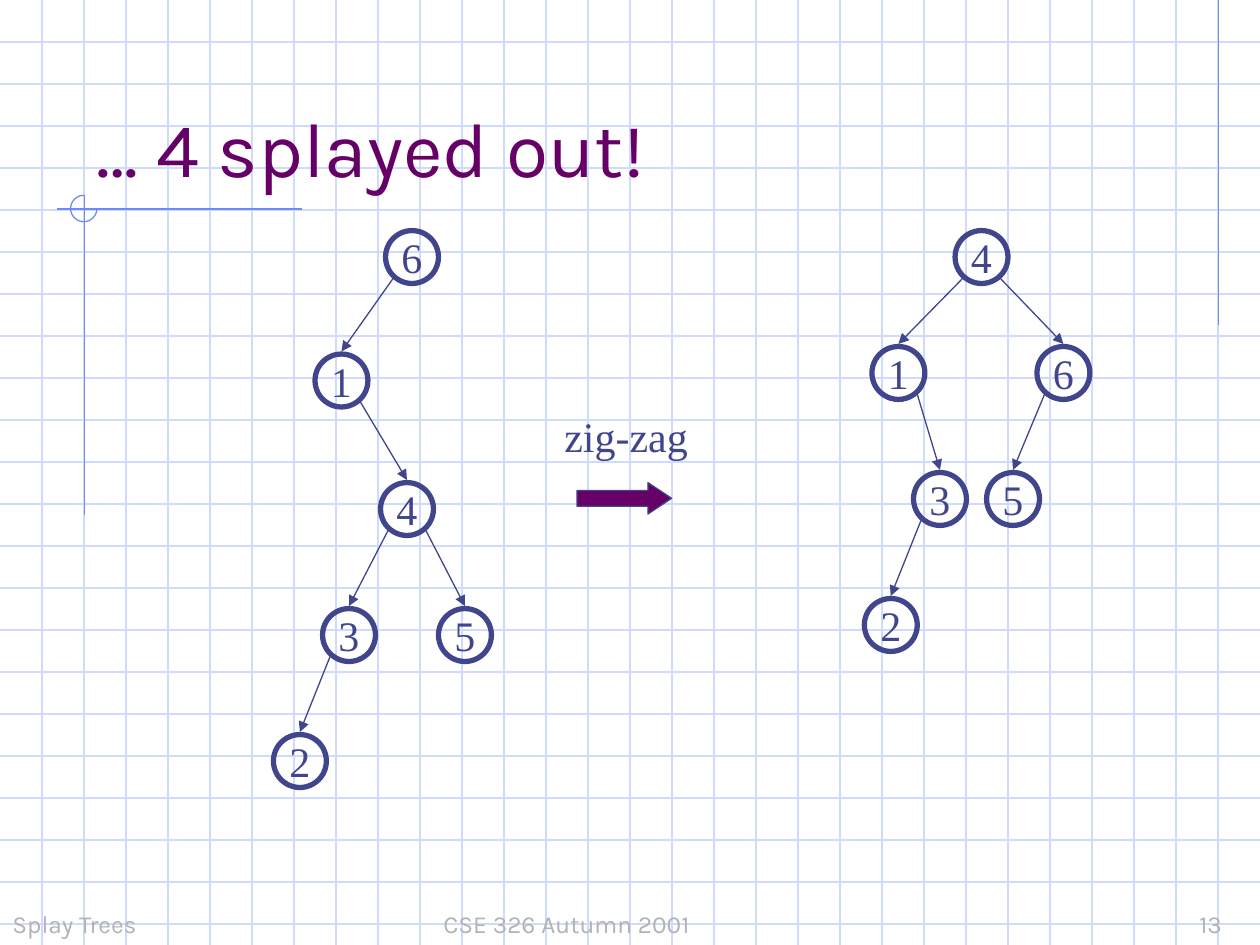
from dataclasses import dataclass

from lxml.etree import SubElement
from pptx import Presentation
from pptx.dml.color import RGBColor
from pptx.enum.shapes import MSO_CONNECTOR, MSO_SHAPE
from pptx.enum.text import MSO_ANCHOR as ANCHOR, PP_ALIGN as ALIGN
from pptx.oxml.ns import qn
from pptx.util import Inches, Pt

WIDTH, HEIGHT = 10, 7.5
GRID_STEP = 1 / 3
NODE_SIZE = 0.42
GRID, ACCENT, INK, PURPLE, GREY = "CFDBFD", "6F89F7", "40458C", "660066", "B2B2B2"
SANS, SERIF = "Karla", "Times New Roman"


@dataclass(frozen=True)
class Node:
    key: str
    left: float
    top: float
    parent: str = ""


BEFORE = [
    Node("6", 3.06, 1.83),
    Node("1", 2.5, 2.81, "6"),
    Node("4", 3.02, 3.83, "1"),
    Node("3", 2.56, 4.83, "4"),
    Node("5", 3.48, 4.83, "4"),
    Node("2", 2.17, 5.83, "3"),
]
AFTER = [
    Node("4", 7.58, 1.83),
    Node("1", 6.92, 2.75, "4"),
    Node("6", 8.23, 2.75, "4"),
    Node("3", 7.25, 3.75, "1"),
    Node("5", 7.83, 3.75, "6"),
    Node("2", 6.86, 4.75, "3"),
]


def rgb(value: str) -> RGBColor:
    return RGBColor.from_string(value)


def add_line(s, start: tuple, end: tuple, color: str, arrow: bool = False) -> None:
    points = [Inches(v) for v in (*start, *end)]
    line = s.shapes.add_connector(MSO_CONNECTOR.STRAIGHT, *points)
    line.line.color.rgb = rgb(color)
    line.line.width = Pt(0.75)
    if arrow:
        SubElement(line.line._get_or_add_ln(), qn("a:tailEnd"), type="triangle")
    SubElement(line._element.spPr, qn("a:effectLst"))


def add_shape(s, kind, box: tuple, line: str, width: float = 0.75, fill: str = ""):
    sp = s.shapes.add_shape(kind, *[Inches(v) for v in box])
    sp.shadow.inherit = False
    if fill:
        sp.fill.solid()
        sp.fill.fore_color.rgb = rgb(fill)
    else:
        sp.fill.background()
    sp.line.color.rgb = rgb(line)
    sp.line.width = Pt(width)
    return sp


def set_text(sp, text: str, *, size: float, font: str, color: str,
             anchor=ANCHOR.TOP, align=ALIGN.LEFT, wrap: bool = True, tab: float = 0) -> None:
    tf = sp.text_frame
    tf.word_wrap = wrap
    tf.vertical_anchor = anchor
    p = tf.paragraphs[0]
    p.alignment = align
    if tab:
        tabs = SubElement(p._p.get_or_add_pPr(), qn("a:tabLst"))
        SubElement(tabs, qn("a:tab"), pos=str(Inches(tab)), algn="l")
    r = p.add_run()
    r.text = text
    r.font.size = Pt(size)
    r.font.name = font
    r.font.color.rgb = rgb(color)


def add_text(s, text: str, box: tuple, **style) -> None:
    set_text(s.shapes.add_textbox(*[Inches(v) for v in box]), text, **style)


def draw_grid(s) -> None:
    for i in range(1, 23):
        add_line(s, (0, i * GRID_STEP), (WIDTH, i * GRID_STEP), GRID)
    for i in range(1, 30):
        add_line(s, (i * GRID_STEP, 0), (i * GRID_STEP, HEIGHT), GRID)


def draw_ornament(s) -> None:
    add_line(s, (9.67, 0), (9.67, 2.58), ACCENT)
    add_line(s, (0.45, 1.66), (2.4, 1.66), ACCENT)
    add_line(s, (0.67, 1.55), (0.67, 4.09), ACCENT)
    arc = add_shape(s, MSO_SHAPE.ARC, (0.56, 1.55, 0.21, 0.21), ACCENT)
    arc.adjustments[0] = 0
    arc.adjustments[1] = 162


def draw_edge(s, parent: Node, child: Node) -> None:
    offset = 0.06 if child.left < parent.left else 0.36
    start = (parent.left + offset, parent.top + 0.38)
    end = (child.left + NODE_SIZE / 2, child.top - 0.02)
    add_line(s, start, end, INK, arrow=True)


def draw_tree(s, nodes: list[Node]) -> None:
    by_key = {node.key: node for node in nodes}
    for node in nodes:
        if node.parent:
            draw_edge(s, by_key[node.parent], node)
    for node in nodes:
        box = (node.left, node.top, NODE_SIZE, NODE_SIZE)
        sp = add_shape(s, MSO_SHAPE.OVAL, box, INK, width=3)
        set_text(sp, node.key, size=24, font=SERIF, color=INK,
                 anchor=ANCHOR.MIDDLE, align=ALIGN.CENTER, wrap=False)


def main() -> None:
    prs = Presentation()
    prs.slide_width, prs.slide_height = Inches(WIDTH), Inches(HEIGHT)
    s = prs.slides.add_slide(prs.slide_layouts[6])
    draw_grid(s)
    draw_ornament(s)

    footer = dict(size=14, font=SANS, color=GREY, anchor=ANCHOR.BOTTOM)
    add_text(s, "Splay Trees", (0, 7, 2.08, 0.5), **footer)
    add_text(s, "CSE 326 Autumn 2001\t13", (3.42, 7, 6.58, 0.5), tab=6, **footer)
    add_text(s, "… 4 splayed out!", (0.67, 0.33, 8.5, 1.25),
             size=44, font=SANS, color=PURPLE, anchor=ANCHOR.BOTTOM)

    arrow = add_shape(s, MSO_SHAPE.RIGHT_ARROW, (4.58, 3.83, 0.75, 0.25), INK, fill=PURPLE)
    arrow.adjustments[1] = 0.75
    add_text(s, "zig-zag", (4.38, 3.21, 1.18, 0.5),
             size=24, font=SERIF, color=INK, wrap=False)

    draw_tree(s, BEFORE)
    draw_tree(s, AFTER)
    prs.save("out.pptx")


if __name__ == "__main__":
    main()
